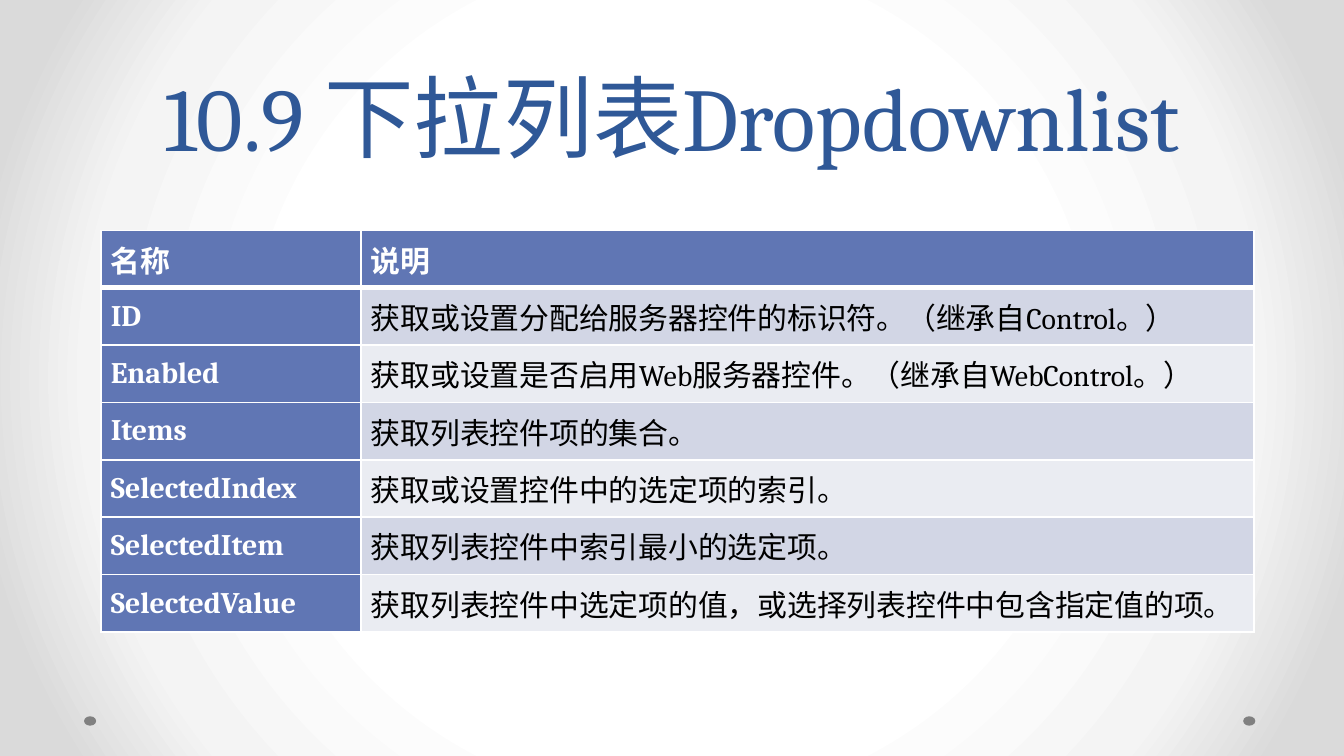
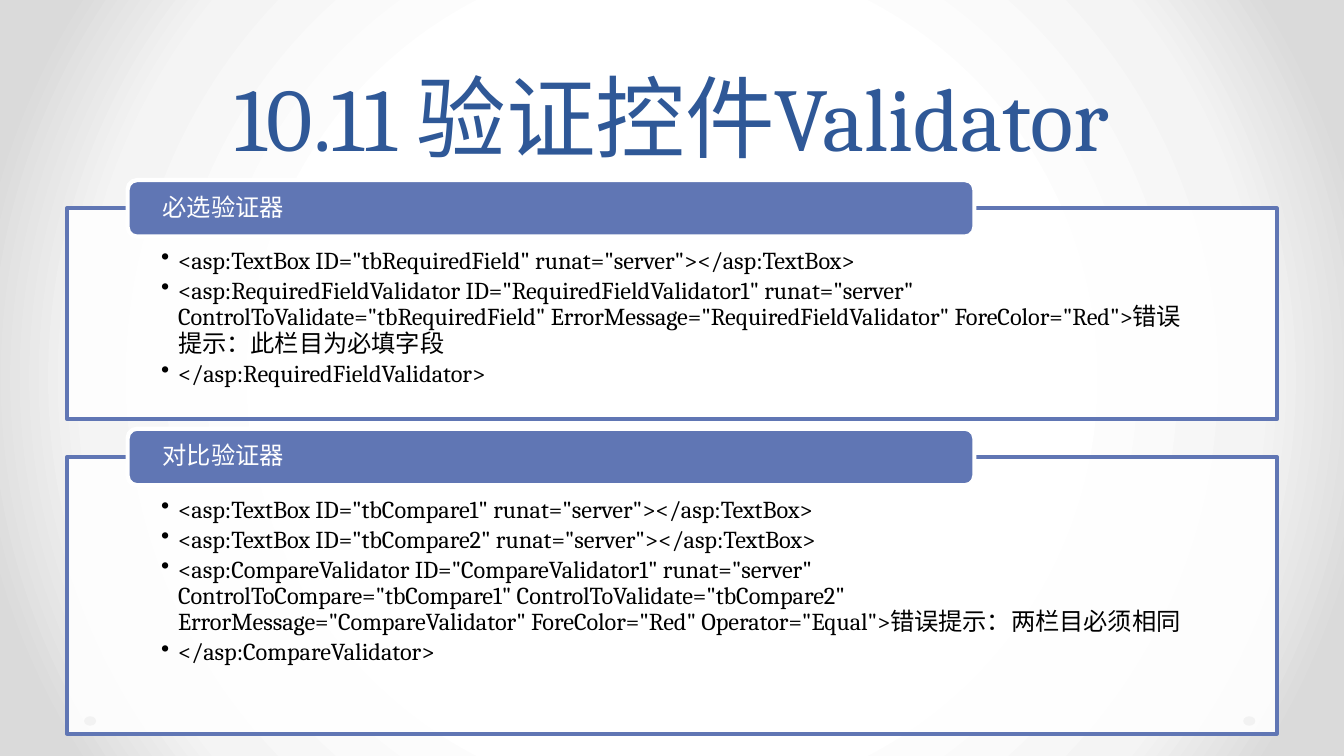
from copy import deepcopy

from pptx import Presentation
from pptx import util as u
from pptx.dml.color import RGBColor
from pptx.enum import shapes, text
from pptx.oxml import parse_xml
from pptx.oxml.ns import nsdecls, qn

PX = 4572
FONT = "Cambria"
TITLE_BLUE = RGBColor(0x2F, 0x58, 0x97)
ACCENT = RGBColor(0x60, 0x76, 0xB4)
WHITE = RGBColor(0xFF, 0xFF, 0xFF)
BLACK = RGBColor(0, 0, 0)
DOT_GRAY = RGBColor(0x80, 0x80, 0x80)
BANDS = [RGBColor(0xD2, 0xD6, 0xE5), RGBColor(0xEA, 0xEC, 0xF2)]
BACKGROUND_STOPS = [(50, WHITE), (76, RGBColor(0xF4, 0xF4, 0xF4)),
                    (92, RGBColor(0xDA, 0xDA, 0xDA))]

PROPERTIES = [
    ("名称", "说明"),
    ("ID", "获取或设置分配给服务器控件的标识符。（继承自Control。）"),
    ("Enabled", "获取或设置是否启用Web服务器控件。（继承自WebControl。）"),
    ("Items", "获取列表控件项的集合。"),
    ("SelectedIndex", "获取或设置控件中的选定项的索引。"),
    ("SelectedItem", "获取列表控件中索引最小的选定项。"),
    ("SelectedValue", "获取列表控件中选定项的值，或选择列表控件中包含指定值的项。"),
]

REQUIRED_CODE = [
    '<asp:TextBox ID="tbRequiredField" runat="server"></asp:TextBox>',
    '<asp:RequiredFieldValidator ID="RequiredFieldValidator1" runat="server" '
    'ControlToValidate="tbRequiredField" ErrorMessage="RequiredFieldValidator" '
    'ForeColor="Red">错误提示：此栏目为必填字段',
    '</asp:RequiredFieldValidator>',
]

COMPARE_CODE = [
    '<asp:TextBox ID="tbCompare1" runat="server"></asp:TextBox>',
    '<asp:TextBox ID="tbCompare2" runat="server"></asp:TextBox>',
    '<asp:CompareValidator ID="CompareValidator1" runat="server"\v'
    'ControlToCompare="tbCompare1" ControlToValidate="tbCompare2"\v'
    'ErrorMessage="CompareValidator" ForeColor="Red" Operator="Equal">'
    '错误提示：两栏目必须相同',
    '</asp:CompareValidator>',
]


def px(*lengths):
    return [length * PX for length in lengths]


class Deck:
    def __init__(self):
        self.presentation = Presentation()
        self.presentation.slide_width, self.presentation.slide_height = px(2000, 1125)
        self.slide = None

    def add_slide(self, title):
        self.slide = self.presentation.slides.add_slide(
            self.presentation.slide_layouts[6])
        self.background()
        for left in (1850, 125):
            self.shape(shapes.MSO_SHAPE.OVAL, (left, 1066, 18, 14), DOT_GRAY)
        self.title(title)

    def background(self):
        stops = "".join(
            f'<a:gs pos="{position * 1000}"><a:srgbClr val="{color}"/></a:gs>'
            for position, color in BACKGROUND_STOPS)
        self.slide.element.cSld.insert(0, parse_xml(
            f'<p:bg {nsdecls("p", "a")}><p:bgPr><a:gradFill rotWithShape="1">'
            f'<a:gsLst>{stops}</a:gsLst><a:path path="circle">'
            '<a:fillToRect l="50000" t="50000" r="50000" b="50000"/></a:path>'
            '</a:gradFill><a:effectLst/></p:bgPr></p:bg>'))

    def shape(self, kind, box, fill, line=None, alpha=None):
        shape = self.slide.shapes.add_shape(kind, *px(*box))
        shape.shadow.inherit = False
        shape.fill.solid()
        shape.fill.fore_color.rgb = fill
        if alpha:
            color = shape.fill._xPr.find(qn("a:solidFill"))[0]
            color.append(parse_xml(
                f'<a:alpha {nsdecls("a")} val="{alpha * 1000}"/>'))
        if line is None:
            shape.line.fill.background()
        else:
            shape.line.color.rgb = line
            shape.line.width = u.Pt(2.25)
        return shape

    def frame(self, shape, insets, anchor):
        frame = shape.text_frame
        frame.word_wrap = True
        frame.vertical_anchor = anchor
        (frame.margin_left, frame.margin_top,
         frame.margin_right, frame.margin_bottom) = px(*insets)
        return frame

    def format(self, paragraph, size, color, bold=False,
               align=text.PP_ALIGN.LEFT, spacing=None):
        paragraph.alignment = align
        if spacing is not None:
            paragraph.line_spacing = spacing
        for run in paragraph.runs:
            run.font.name = FONT
            run.font.size = u.Pt(size)
            run.font.bold = bold
            run.font.color.rgb = color
        for line_break in paragraph._p.findall(qn("a:br")):
            line_break.append(deepcopy(paragraph.runs[0]._r.rPr))

    def title(self, title):
        box = self.slide.shapes.add_textbox(*px(100, 0, 1800, 262))
        frame = self.frame(box, (20, 10, 20, 10), text.MSO_ANCHOR.BOTTOM)
        frame.text = title
        self.format(frame.paragraphs[0], 48, TITLE_BLUE,
                    align=text.PP_ALIGN.CENTER, spacing=u.Pt(58))

    def table(self, rows, box, widths):
        table = self.slide.shapes.add_table(
            len(rows), len(widths), *px(*box)).table
        for column, width in zip(table.columns, px(*widths)):
            column.width = width
        for row_index, row in enumerate(rows):
            for column_index, content in enumerate(row):
                header = row_index == 0
                strong = header or column_index == 0
                fill = ACCENT if strong else BANDS[(row_index - 1) % 2]
                cell = table.cell(row_index, column_index)
                self.cell(cell, content, fill, strong, header)

    def cell(self, cell, content, fill, strong, header):
        cell.text = content
        cell.vertical_anchor = text.MSO_ANCHOR.MIDDLE
        cell.margin_left = cell.margin_right = 15 * PX
        cell.margin_top = cell.margin_bottom = 0
        borders = {"L": 1, "R": 1, "B": 1}
        if header:
            borders = {"L": 1, "R": 1, "T": 1, "B": 3}
        for side, width in borders.items():
            cell._tc.get_or_add_tcPr().append(parse_xml(
                f'<a:ln{side} {nsdecls("a")} w="{u.Pt(width)}"><a:solidFill>'
                f'<a:srgbClr val="{WHITE}"/></a:solidFill></a:ln{side}>'))
        cell.fill.solid()
        cell.fill.fore_color.rgb = fill
        self.format(cell.text_frame.paragraphs[0], 16,
                    WHITE if strong else BLACK, bold=strong)

    def code_panel(self, heading, lines, top, height):
        panel = self.shape(shapes.MSO_SHAPE.RECTANGLE, (100, top, 1800, height),
                           WHITE, ACCENT, alpha=90)
        frame = self.frame(panel, (140, 60, 140, 20), text.MSO_ANCHOR.TOP)
        for index, line in enumerate(lines):
            paragraph = frame.add_paragraph() if index else frame.paragraphs[0]
            paragraph.text = line
            self.bullet(paragraph)
            self.format(paragraph, 13, BLACK, spacing=0.9)
            paragraph.space_after = u.Pt(2)
        label = self.shape(shapes.MSO_SHAPE.ROUNDED_RECTANGLE,
                           (190, top - 42, 1260, 84), ACCENT, WHITE)
        frame = self.frame(label, (48, 0, 48, 0), text.MSO_ANCHOR.MIDDLE)
        frame.text = heading
        self.format(frame.paragraphs[0], 13, WHITE, spacing=0.9)

    def bullet(self, paragraph):
        properties = paragraph._p.get_or_add_pPr()
        properties.set("marL", str(25 * PX))
        properties.set("indent", str(-25 * PX))
        properties.append(parse_xml(f'<a:buChar {nsdecls("a")} char="•"/>'))


def main():
    deck = Deck()
    deck.add_slide("10.9 下拉列表Dropdownlist")
    deck.table(PROPERTIES, (150, 343, 1716, 598), (387, 1329))

    deck.add_slide("10.11 验证控件Validator")
    deck.code_panel("必选验证器", REQUIRED_CODE, 310, 314)
    deck.code_panel("对比验证器", COMPARE_CODE, 680, 412)

    deck.presentation.save("out.pptx")


if __name__ == "__main__":
    main()
